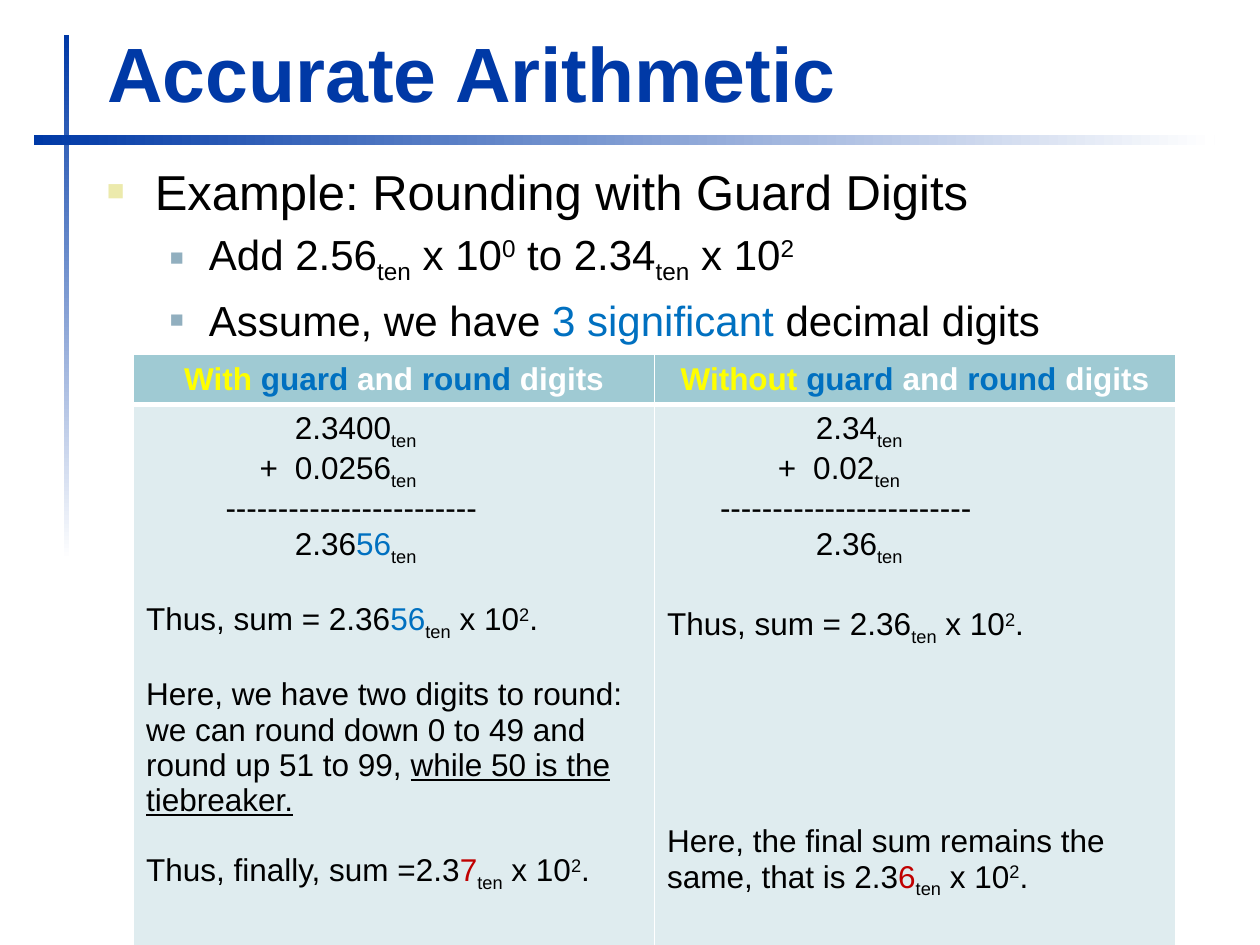
from lxml.etree import SubElement as Sub
from pptx import Presentation
from pptx.dml.color import RGBColor as RGB
from pptx.enum.shapes import MSO_SHAPE as Shape
from pptx.enum.text import MSO_ANCHOR as Anchor, PP_ALIGN as Align
from pptx.oxml.ns import qn
from pptx.util import Inches, Pt

theme = {
    "font": "Arial", "navy": "0039A6", "white": "FFFFFF", "black": "000000",
    "blue": "0070C0", "red": "C00000", "yellow": "FFFF00",
    "head": "9FCAD3", "cell": "DFECEF", "sand": "ECEAAC", "steel": "91AFBF",
    "title": 44, "main": 28, "item": 24, "table": 18,
}
shift = {"sub": "-25000", "sup": "30000"}


def tint(name):
    return RGB.from_string(theme[name])


def write(para, runs, size, base="black", bold=False):
    for text, *marks in runs:
        run = para.add_run()
        run.text = text
        form = {"name": theme["font"], "size": Pt(theme[size]), "bold": bold}
        if "line" in marks:
            form["underline"] = True
        for key, value in form.items():
            setattr(run.font, key, value)
        hue = next((m for m in marks if m in theme), base)
        run.font.color.rgb = tint(hue)
        for mark in marks:
            if mark in shift:
                run._r.get_or_add_rPr().set("baseline", shift[mark])


deck = Presentation()
deck.slide_width, deck.slide_height = Inches(10), Inches(7.5)
slide = deck.slides.add_slide(deck.slide_layouts[5])

bars = [((0.51, 0.28, 0.04, 4.17), 270), ((0.27, 1.07, 9.37, 0.08), 0)]
for place, angle in bars:
    bar = slide.shapes.add_shape(Shape.RECTANGLE, *map(Inches, place))
    bar.shadow.inherit = False
    bar.line.fill.background()
    bar.fill.gradient()
    bar.fill.gradient_angle = angle
    for stop, hue in zip(bar.fill.gradient_stops, ("navy", "white")):
        stop.color.rgb = tint(hue)

title = slide.shapes.title
spot = {"left": 0.75, "top": 0.16, "width": 9.03, "height": 0.83}
for key, value in spot.items():
    setattr(title, key, Inches(value))
title.text_frame.vertical_anchor = Anchor.BOTTOM
title.text_frame.paragraphs[0].alignment = Align.LEFT
write(title.text_frame.paragraphs[0], [("Accurate Arithmetic",)],
      "title", "navy", True)

ten = ("ten", "sub")
two = ("2", "sup")
power = [ten, (" x 10",), two]
points = [
    ("main", 0, 0.38, -0.38, "sand", 60,
     [("Example: Rounding with Guard Digits",)]),
    ("item", 1, 0.81, -0.31, "steel", 55,
     [("Add 2.56",), ten, (" x 10",), ("0", "sup"), (" to 2.34",), *power]),
    ("item", 1, 0.81, -0.31, "steel", 55,
     [("Assume, we have ",), ("3 significant ", "blue"),
      ("decimal digits",)]),
]
body = slide.shapes.add_textbox(*map(Inches, (0.75, 1.23, 9.05, 5.59)))
frame = body.text_frame
frame.word_wrap = True
for row, (size, level, left, hang, hue, scale, runs) in enumerate(points):
    para = frame.add_paragraph() if row else frame.paragraphs[0]
    para.level = level
    props = para._p.get_or_add_pPr()
    props.set("marL", str(Inches(left)))
    props.set("indent", str(Inches(hang)))
    Sub(Sub(props, qn("a:buClr")), qn("a:srgbClr")).set("val", theme[hue])
    Sub(props, qn("a:buSzPct")).set("val", str(scale * 1000))
    Sub(props, qn("a:buFont")).set("typeface", theme["font"])
    Sub(props, qn("a:buChar")).set("char", "■")
    if row:
        para.space_before = Pt(4.8)
    write(para, runs, size)

dash = [("-" * 24,)]
heads = [
    [(word, "yellow"), ("guard", "blue"), (" and ",), ("round", "blue"),
     (" digits",)]
    for word in ("With ", "Without ")
]
sums = [
    [
        (1.18, 0, 0, [("2.3400",), ten]),
        (1.18, -0.28, 0, [("+\t0.0256",), ten]),
        (0.63, 0, 0, dash),
        (1.18, 0, 0, [("2.36",), ("56", "blue"), ten]),
        (0, 0, 20, [("Thus, sum = 2.36",), ("56", "blue"), *power, (".",)]),
        (0, 0, 20, [("Here, we have two digits to round: we can round down "
                     "0 to 49 and round up 51 to 99, ",),
                    ("while 50 is the tiebreaker.", "line")]),
        (0, 0, 20, [("Thus, finally, sum =2.3",), ("7", "red"), *power,
                    (".",)]),
    ],
    [
        (1.18, 0, 0, [("2.34",), ten]),
        (1.16, -0.28, 0, [("+\t0.02",), ten]),
        (0.42, 0, 0, dash),
        (1.18, 0, 0, [("2.36",), ten]),
        (0, 0, 23, [("Thus, sum = 2.36",), *power, (".",)]),
        (0, 0, 101, [("Here, the final sum remains the same, that is 2.3",),
                     ("6", "red"), *power, (".",)]),
    ],
]
place = map(Inches, (1.06, 2.81, 8.27, 4.7))
table = slide.shapes.add_table(2, 2, *place).table
table.horz_banding = False
for row, high in zip(table.rows, (0.4, 4.3)):
    row.height = Inches(high)

for row in range(2):
    for col in range(2):
        cell = table.cell(row, col)
        props = cell._tc.get_or_add_tcPr()
        for side in "LRTB":
            thick = (row, side) in ((0, "B"), (1, "T"))
            edge = Sub(props, qn("a:ln" + side), w=str(Pt(3 if thick else 1)))
            fill = Sub(edge, qn("a:solidFill"))
            Sub(fill, qn("a:srgbClr")).set("val", theme["white"])
        cell.fill.solid()
        cell.fill.fore_color.rgb = tint("cell" if row else "head")
        frame = cell.text_frame
        if row == 0:
            cell.vertical_anchor = Anchor.MIDDLE
            frame.paragraphs[0].alignment = Align.CENTER
            write(frame.paragraphs[0], heads[col], "table", "white", True)
            continue
        for step, (left, hang, gap, runs) in enumerate(sums[col]):
            para = frame.add_paragraph() if step else frame.paragraphs[0]
            props = para._p.get_or_add_pPr()
            props.set("marL", str(Inches(left)))
            props.set("indent", str(Inches(hang)))
            if gap:
                para.space_before = Pt(gap)
            write(para, runs, "table")

deck.save("out.pptx")
